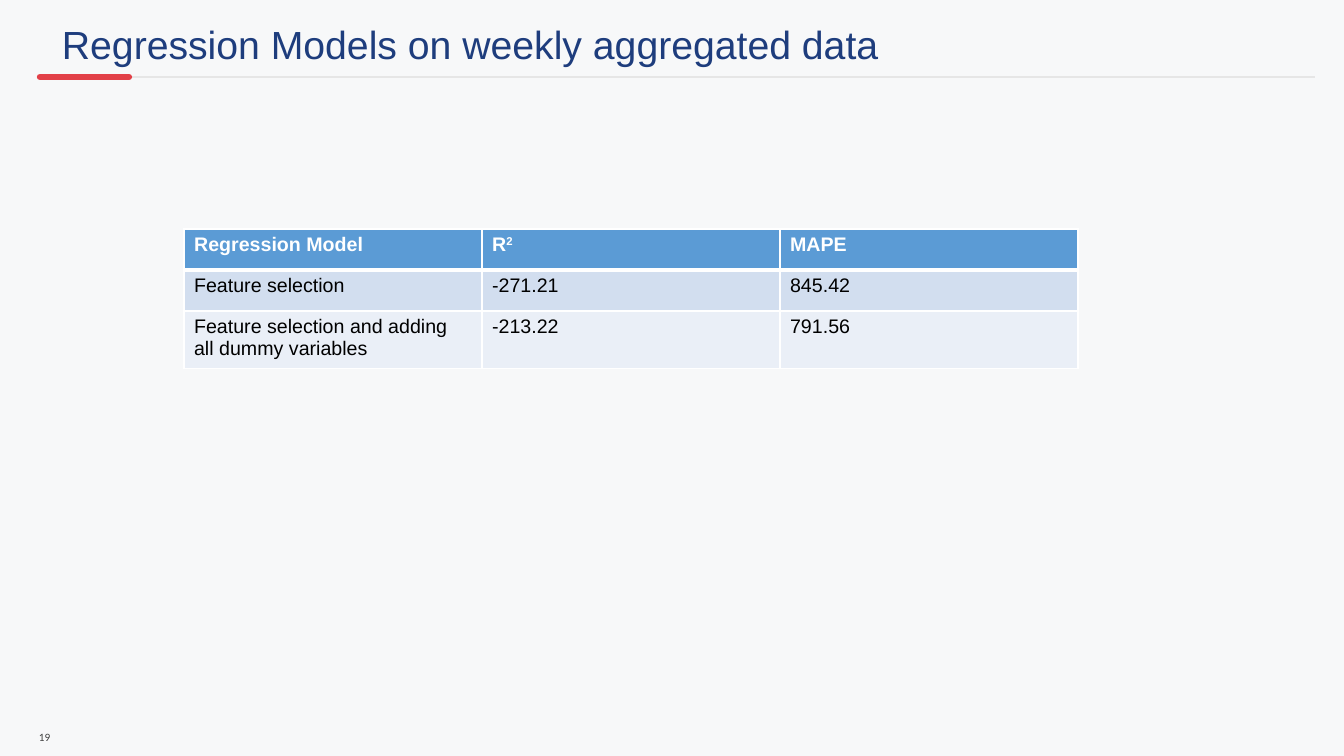
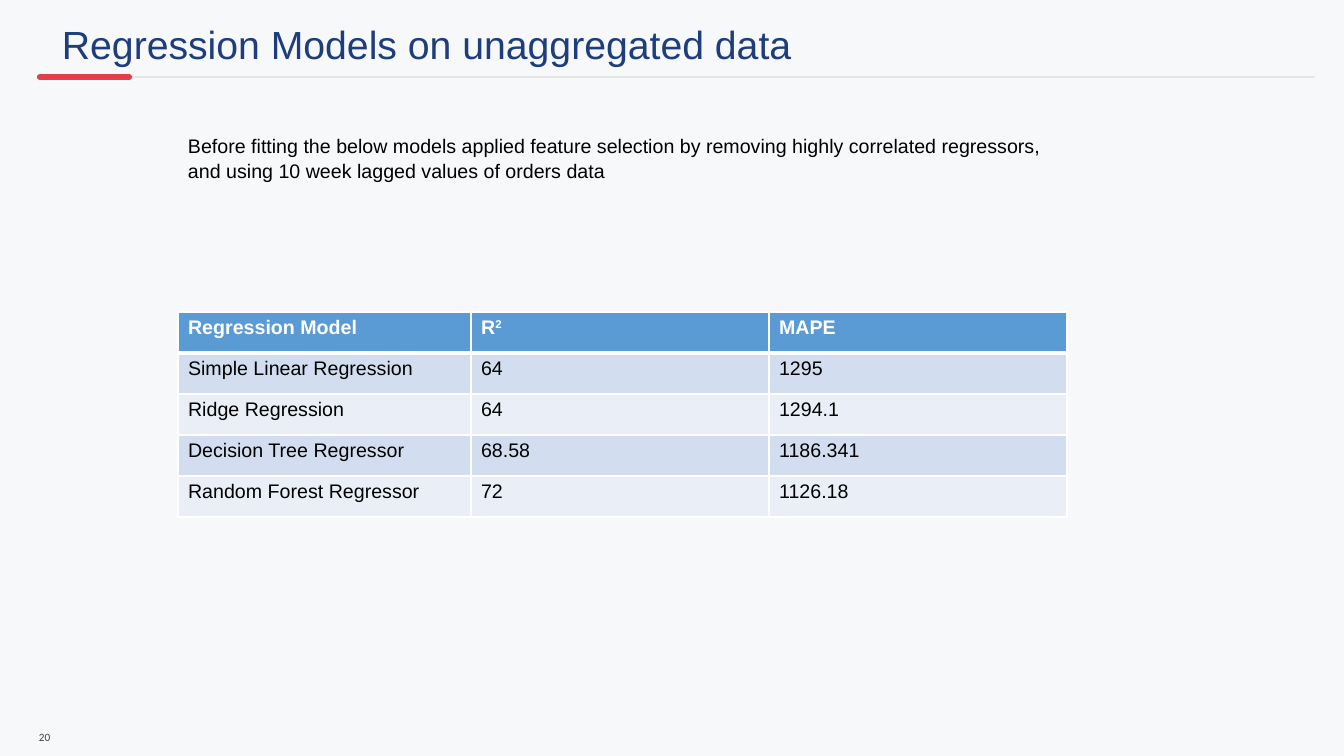
import pptx
import pptx.dml.color
import pptx.enum.shapes
import pptx.oxml
import pptx.oxml.ns
import pptx.util
from dataclasses import dataclass
from lxml import etree

SLIDE_W, SLIDE_H = 1344, 756
EMU_PER_INCH, PX_PER_INCH = 914400, 100.8
FIRST_NUMBER = 19


@dataclass(frozen=True)
class Theme:
    page: str = "F7F8F9"
    title: str = "1E3D7D"
    rule: str = "E6E6E6"
    accent: str = "E24048"
    number: str = "3F3F3F"
    text: str = "000000"
    white: str = "FFFFFF"
    header: str = "5B9BD5"
    bands: tuple = ("D2DEEF", "EAEFF7")
    font: str = "Arial"
    number_font: str = "Calibri"
    title_size: int = 28
    body_size: int = 14
    number_size: int = 8


THEME = Theme()


def px(n):
    return pptx.util.Emu(round(n * EMU_PER_INCH / PX_PER_INCH))


def rgb(color):
    return pptx.dml.color.RGBColor.from_string(color)


def set_font(p, size, color, bold=False):
    p.font.name = THEME.font
    p.font.size = pptx.util.Pt(size)
    p.font.bold = bold
    p.font.color.rgb = rgb(color)


def add_text(slide, box, lines, size, color, left=10, top=5, spacing=None):
    tf = slide.shapes.add_textbox(*map(px, box)).text_frame
    tf.word_wrap = True
    tf.margin_left, tf.margin_top = px(left), px(top)
    for i, line in enumerate(lines):
        p = tf.add_paragraph() if i else tf.paragraphs[0]
        p.text = line
        p.line_spacing = spacing
        set_font(p, size, color)


def add_line(slide, x1, x2, y, color, width, cap="flat"):
    line = slide.shapes.add_connector(
        pptx.enum.shapes.MSO_CONNECTOR.STRAIGHT, px(x1), px(y), px(x2), px(y))
    line.line.color.rgb = rgb(color)
    line.line.width = pptx.util.Pt(width)
    line.line._get_or_add_ln().set("cap", cap)
    etree.SubElement(line._element.spPr, pptx.oxml.ns.qn("a:effectLst"))


def add_number(slide, box, number):
    """Place a live slide number field."""
    tf = slide.shapes.add_textbox(*map(px, box)).text_frame
    tf.word_wrap = True
    tf.paragraphs[0]._p.append(pptx.oxml.parse_xml(
        f'<a:fld {pptx.oxml.ns.nsdecls("a")} type="slidenum"'
        ' id="{B6F15528-21DE-4FAA-801E-634DDDAF4B2B}">'
        f'<a:rPr lang="en-US" sz="{THEME.number_size * 100}"><a:solidFill>'
        f'<a:srgbClr val="{THEME.number}"/></a:solidFill>'
        f'<a:latin typeface="{THEME.number_font}"/></a:rPr>'
        f'<a:t>{number}</a:t></a:fld>'))


def set_borders(cell, top, bottom):
    tc_pr = cell._tc.get_or_add_tcPr()
    for side, width in zip("LRTB", (1, 1, top, bottom)):
        tc_pr.append(pptx.oxml.parse_xml(
            f'<a:ln{side} {pptx.oxml.ns.nsdecls("a")} w="{pptx.util.Pt(width)}">'
            f'<a:solidFill><a:srgbClr val="{THEME.white}"/></a:solidFill>'
            f'</a:ln{side}>'))


def add_score_table(slide, x, y, col_widths, scores, row_h=41):
    rows = [("Regression Model", "R", "MAPE"), *scores]
    table = slide.shapes.add_table(
        len(rows), len(col_widths), px(x), px(y),
        px(sum(col_widths)), px(row_h * len(rows))).table
    table.horz_banding = False
    for col, width in zip(table.columns, col_widths):
        col.width = px(width)
    for i, row in enumerate(rows):
        table.rows[i].height = px(row_h)
        is_header = i == 0
        for j, value in enumerate(row):
            cell = table.cell(i, j)
            # Thick rule between header and body
            set_borders(cell, 3 if i == 1 else 1, 3 if is_header else 1)
            cell.fill.solid()
            cell.fill.fore_color.rgb = rgb(
                THEME.header if is_header else THEME.bands[(i - 1) % 2])
            p = cell.text_frame.paragraphs[0]
            p.text = value
            set_font(p, THEME.body_size,
                     THEME.white if is_header else THEME.text, is_header)
    # Superscript of R²
    r = table.cell(0, 1).text_frame.paragraphs[0].add_run()
    r.text = "2"
    r._r.get_or_add_rPr().set("baseline", "30000")


def add_page(prs, title):
    """Add a slide with the shared background, number, rules and title."""
    slide = prs.slides.add_slide(prs.slide_layouts[6])
    add_number(slide, (29, 725, 58, 23), FIRST_NUMBER + len(prs.slides) - 1)
    add_line(slide, 38, 1315, 77, THEME.rule, 1)
    add_line(slide, 40, 129, 77, THEME.accent, 4.5, cap="rnd")
    add_text(slide, (27, 11, 1287, 47), [title],
             THEME.title_size, THEME.title, left=35, top=9)
    return slide


def weekly_slide(prs):
    slide = add_page(prs, "Regression Models on weekly aggregated data")
    add_score_table(slide, 184, 229, (298, 298, 298), [
        ("Feature selection", "-271.21", "845.42"),
        ("Feature selection and adding all dummy variables", "-213.22", "791.56"),
    ])


def unaggregated_slide(prs):
    slide = add_page(prs, "Regression Models on unaggregated data")
    add_text(slide, (178, 127, 914, 57), [
        "Before fitting the below models applied feature selection"
        " by removing highly correlated regressors,",
        "and using 10 week lagged values of orders data",
    ], THEME.body_size, THEME.text, spacing=1.07)
    add_score_table(slide, 178, 312, (293, 298, 298), [
        ("Simple Linear Regression", "64", "1295"),
        ("Ridge Regression", "64", "1294.1"),
        ("Decision Tree Regressor", "68.58", "1186.341"),
        ("Random Forest Regressor", "72", "1126.18"),
    ])


def main():
    prs = pptx.Presentation()
    prs.slide_width, prs.slide_height = px(SLIDE_W), px(SLIDE_H)
    prs.element.set("firstSlideNum", str(FIRST_NUMBER))
    # Background shared by every slide
    fill = prs.slide_master.background.fill
    fill.solid()
    fill.fore_color.rgb = rgb(THEME.page)
    weekly_slide(prs)
    unaggregated_slide(prs)
    prs.save("out.pptx")


if __name__ == "__main__":
    main()
